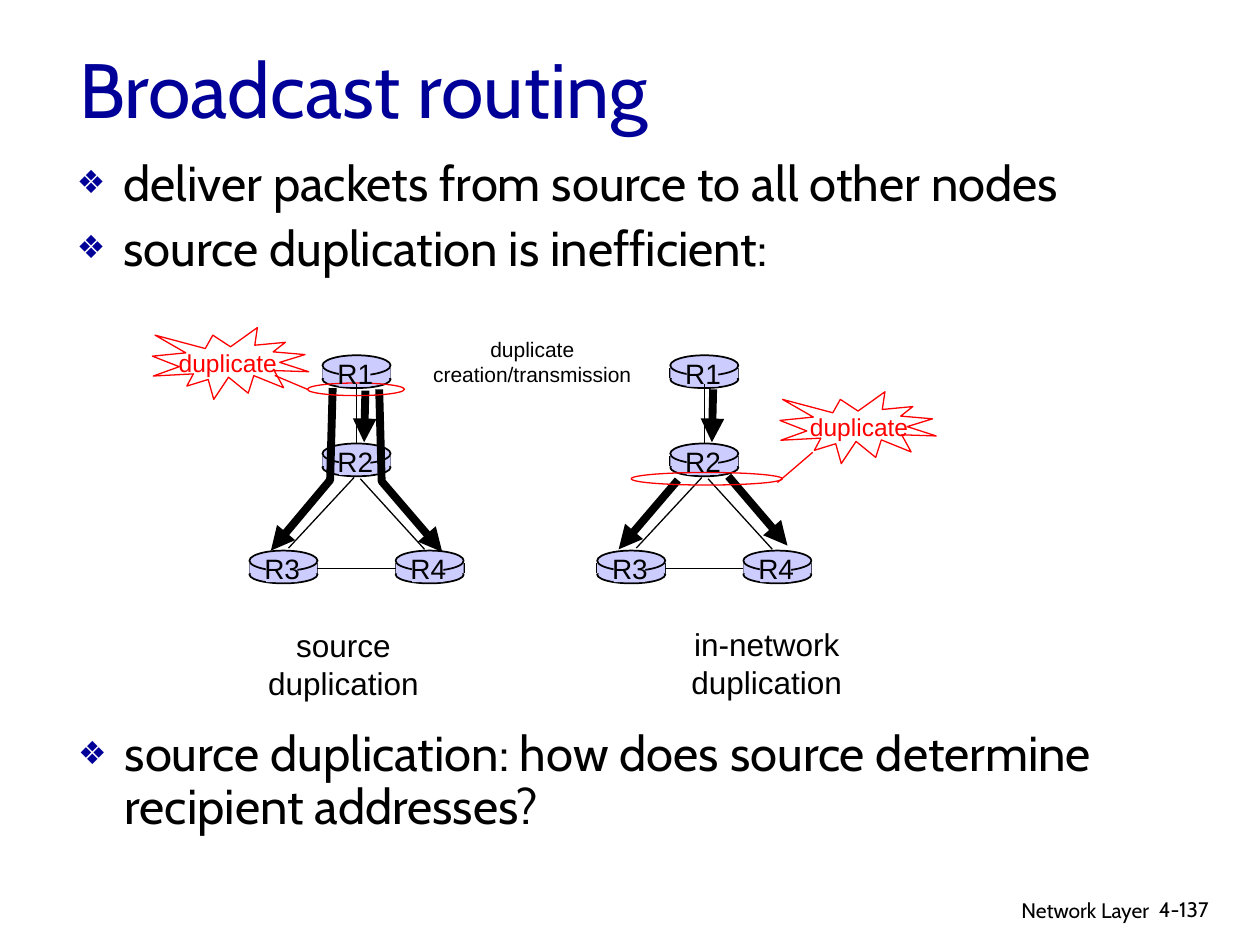
from lxml import etree
from pptx import Presentation
from pptx.dml.color import RGBColor
from pptx.enum import shapes, text
from pptx.oxml.ns import qn
from pptx.util import Inches, Pt

BLACK = RGBColor(0x00, 0x00, 0x00)
NAVY = RGBColor(0x00, 0x00, 0x99)
RED = RGBColor(0xFF, 0x00, 0x00)
LILAC = RGBColor(0xCC, 0xCC, 0xFF)
OVAL = shapes.MSO_SHAPE.OVAL
RECTANGLE = shapes.MSO_SHAPE.RECTANGLE
BURST = shapes.MSO_SHAPE.EXPLOSION1
LEFT, CENTER, RIGHT = text.PP_ALIGN.LEFT, text.PP_ALIGN.CENTER, text.PP_ALIGN.RIGHT

presentation = Presentation()
presentation.slide_width, presentation.slide_height = Inches(10), Inches(7.5)
slide = presentation.slides.add_slide(presentation.slide_layouts[3])
title, top_list, bottom_list = slide.placeholders


def draw_shape(kind, box, fill=None, line=None, width=0.75):
    shape = slide.shapes.add_shape(kind, *map(Inches, box))
    shape.shadow.inherit = False
    for part, color in ((shape.fill, fill), (shape.line.fill, line)):
        if color is None:
            part.background()
        else:
            part.solid()
            part.fore_color.rgb = color
    if line is not None:
        shape.line.width = Pt(width)


def draw_line(points, color=BLACK, width=0.75, arrow=False):
    corners = [(Inches(x), Inches(y)) for x, y in points]
    if len(corners) == 2:
        start, end = corners
        shape = slide.shapes.add_connector(shapes.MSO_CONNECTOR.STRAIGHT, *start, *end)
        etree.SubElement(shape._element.spPr, qn("a:effectLst"))
    else:
        builder = slide.shapes.build_freeform(*corners[0])
        builder.add_line_segments(corners[1:], close=False)
        shape = builder.convert_to_shape()
        shape.fill.background()
        shape.shadow.inherit = False
    shape.line.color.rgb = color
    shape.line.width = Pt(width)
    if arrow:
        outline = shape._element.spPr.get_or_add_ln()
        etree.SubElement(outline, qn("a:tailEnd"), type="triangle")


# Two networks of routers and links, side by side
NETWORK_STEP = 2.76
ROUTERS = {"R1": (2.56, 2.82), "R2": (2.56, 3.52), "R3": (1.98, 4.37), "R4": (3.14, 4.37)}
LINKS = [
    ((2.83, 3.05), (2.83, 3.52)),
    ((2.81, 3.79), (2.29, 4.35)),
    ((2.86, 3.8), (3.37, 4.36)),
    ((2.52, 4.51), (3.14, 4.51)),
]
router_labels = []
for shift in (0, NETWORK_STEP):
    for name, (left, y) in ROUTERS.items():
        x = left + shift
        draw_shape(OVAL, (x, y + 0.12, 0.54, 0.14), LILAC, BLACK, 1)
        for side in (x, x + 0.54):
            draw_line([(side, y + 0.1), (side, y + 0.18)], width=1)
        draw_shape(RECTANGLE, (x, y + 0.1, 0.54, 0.08), LILAC)
        draw_shape(OVAL, (x, y, 0.54, 0.16), LILAC, BLACK, 1)
        draw_shape(RECTANGLE, (x + 0.13, y + 0.02, 0.25, 0.23), LILAC)
        router_labels.append(((x + 0.02, y - 0.04, 0.48, 0.37), name))
    for link in LINKS:
        draw_line([(x + shift, y) for x, y in link])

# Packet arrows
for route in (
    [(2.9, 3.1), (2.89, 3.51)],
    [(3.01, 3.09), (3.03, 3.82), (3.51, 4.38)],
    [(2.64, 3.08), (2.62, 3.81), (2.15, 4.37)],
    [(5.66, 3.09), (5.65, 3.51)],
    [(5.78, 3.78), (6.25, 4.33)],
    [(5.38, 3.81), (4.91, 4.36)],
):
    draw_line(route, width=4.5, arrow=True)

# Red callouts on the duplicated packets
for burst, ring, pointer in (
    ((1.21, 2.6), (2.44, 3.04, 0.77, 0.1), [(2.44, 3.09), (2.18, 2.98)]),
    ((6.19, 3.11), (5.01, 3.75, 1.2, 0.1), [(6.45, 3.59), (6.17, 3.83)]),
):
    draw_shape(BURST, (*burst, 1.24, 0.57), line=RED)
    draw_shape(OVAL, ring, line=RED)
    draw_line(pointer, RED)

# Text boxes: box, wording, size, colour, alignment, font
labels = [(box, name, 16, BLACK, CENTER, "Arial") for box, name in router_labels]
labels += [
    ((2.03, 4.92, 1.39, 0.7), "source\vduplication", 18, BLACK, CENTER, "Arial"),
    ((5.39, 4.91, 1.39, 0.7), "in-network\nduplication", 18, BLACK, CENTER, "Arial"),
    ((3.34, 2.62, 1.77, 0.5), "duplicate\ncreation/transmission", 12, BLACK, CENTER, "Arial"),
    ((1.32, 2.71, 0.98, 0.34), "duplicate", 14, RED, LEFT, "Arial"),
    ((6.33, 3.22, 0.98, 0.34), "duplicate", 14, RED, LEFT, "Arial"),
    ((6.05, 7.07, 3.17, 0.31), "Network Layer", 12, BLACK, RIGHT, "Cabin"),
    ((9.1, 7.07, 0.74, 0.3), "4-137", 12, BLACK, LEFT, "Cabin"),
]
text_items = [(slide.shapes.add_textbox(0, 0, 0, 0), *label) for label in labels]

# Title and lists
text_items += [
    (title, (0.53, 0.19, 8.5, 1.01), "Broadcast routing", 44, NAVY, LEFT, "Cabin"),
    (top_list, (0.51, 1.21, 9.38, 1.06),
     "deliver packets from source to all other nodes\nsource duplication is inefficient:",
     28, BLACK, LEFT, "Cabin"),
    (bottom_list, (0.52, 5.74, 8.88, 1.06),
     "source duplication: how does source determine recipient addresses?",
     28, BLACK, LEFT, "Cabin"),
]
for shape, box, wording, size, color, alignment, font in text_items:
    shape.left, shape.top, shape.width, shape.height = map(Inches, box)
    frame = shape.text_frame
    frame.text = wording
    frame.word_wrap = font == "Cabin"
    frame.auto_size = text.MSO_AUTO_SIZE.NONE
    for paragraph in frame.paragraphs:
        paragraph.alignment = alignment
        for run in paragraph.runs:
            for key, value in {"name": font, "size": Pt(size)}.items():
                setattr(run.font, key, value)
            run.font.color.rgb = color

# Diamond bullets
for body in (top_list, bottom_list):
    for index, paragraph in enumerate(body.text_frame.paragraphs):
        spacing = {"line_spacing": 0.9, "space_before": Pt(7 if index else 0)}
        for key, value in spacing.items():
            setattr(paragraph, key, value)
        properties = paragraph._p.get_or_add_pPr()
        properties.set("marL", str(Inches(0.37)))
        properties.set("indent", str(Inches(-0.37)))
        bullet_color = etree.SubElement(properties, qn("a:buClr"))
        etree.SubElement(bullet_color, qn("a:srgbClr"), val=str(NAVY))
        etree.SubElement(properties, qn("a:buSzPct"), val="65000")
        etree.SubElement(properties, qn("a:buChar"), char="❖")

presentation.save("out.pptx")
